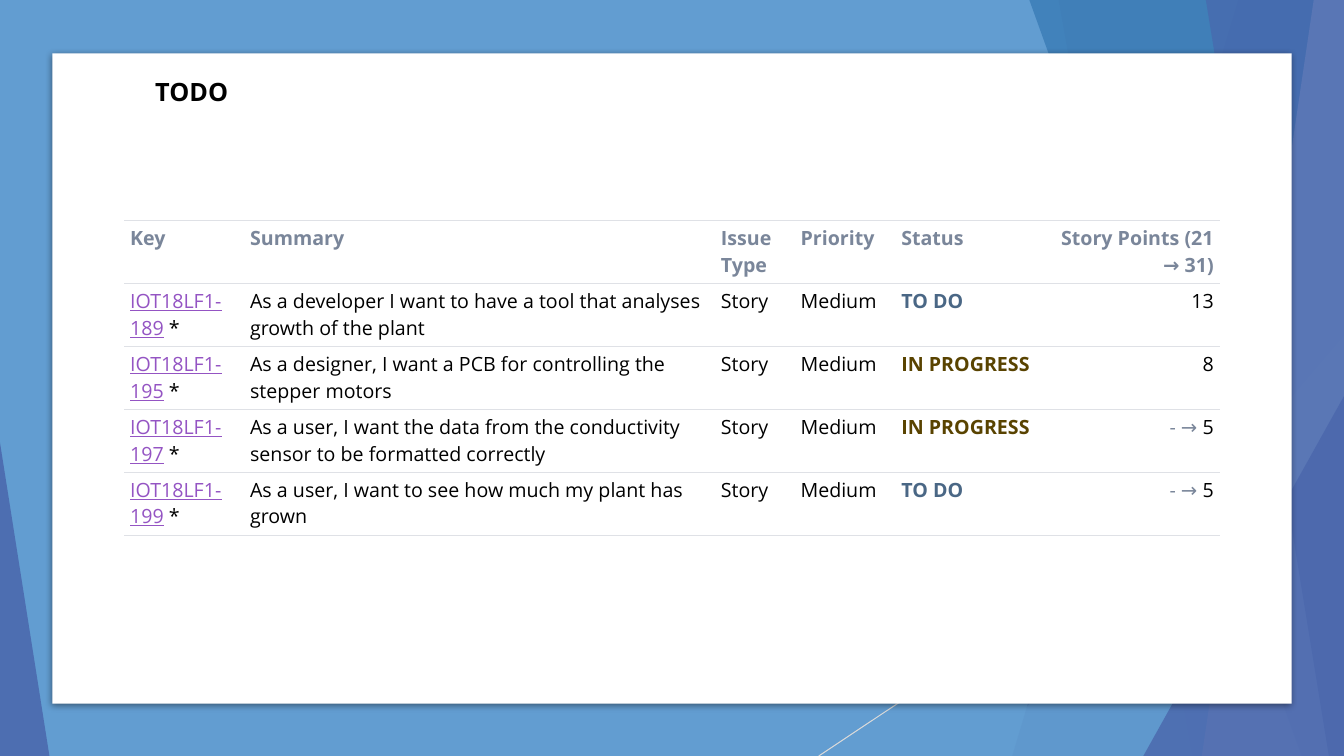
from lxml.etree import SubElement as Sub
from pptx import Presentation
from pptx.dml.color import RGBColor as RGB
from pptx.enum.shapes import MSO_CONNECTOR as Wire, MSO_SHAPE as Kind
from pptx.enum.text import MSO_ANCHOR as Anchor, MSO_AUTO_SIZE as Auto, PP_ALIGN as Align
from pptx.oxml.ns import qn
from pptx.util import Inches, Pt

WIDE, HIGH = Inches(13.33), Inches(7.5)
FONT = "Open Sans"
BLACK, WHITE = RGB(0, 0, 0), RGB(255, 255, 255)
SKY, NAVY = RGB(0x62, 0x9D, 0xD1), RGB(0x4A, 0x66, 0xAC)
TEAL, LILAC = RGB(0x34, 0x77, 0xB2), RGB(0x90, 0xA2, 0xCF)
SILVER, RULE = RGB(0xD9, 0xD9, 0xD9), RGB(0xDF, 0xE1, 0xE6)
GREY, LINK = RGB(0x7A, 0x86, 0x9A), RGB(0x94, 0x54, 0xC3)
STATES = {"TO DO": RGB(0x4A, 0x67, 0x85), "IN PROGRESS": RGB(0x59, 0x43, 0)}

COLS = (8.93, 35.03, 5.93, 7.5, 10.65, 13.5)
HEADS = ("Key", "Summary", "Issue Type", "Priority", "Status",
         "Story Points\u00a0(21 \u2192\u00a031)")
# Key number, summary, status, points before the change, points
STORIES = (
    (189, "As a developer I want to have a tool that analyses growth of the plant",
     "TO DO", "", "13"),
    (195, "As a designer, I want a PCB for controlling the stepper motors",
     "IN PROGRESS", "", "8"),
    (197, "As a user, I want the data from the conductivity sensor to be formatted correctly",
     "IN PROGRESS", "- \u2192\u00a0", "5"),
    (199, "As a user, I want to see how much my plant has grown",
     "TO DO", "- \u2192\u00a0", "5"),
)


def across(share):
    """Turn a percentage of the slide's width into a length."""
    return round(WIDE * share / 100)


def down(share):
    """Turn a percentage of the slide's height into a length."""
    return round(HIGH * share / 100)


def box(left, top, width, height):
    """Turn four percentages into a position and size."""
    return across(left), down(top), across(width), down(height)


def paint(shape, color, alpha=100):
    """Give a shape a plain fill of some opacity, no line and no shadow."""
    shape.shadow.inherit = False
    shape.line.fill.background()
    shape.fill.solid()
    shape.fill.fore_color.rgb = color
    if alpha < 100:
        tint = shape._element.spPr.find(qn("a:solidFill"))[0]
        Sub(tint, qn("a:alpha"), val=str(alpha * 1000))
    return shape


def block(shapes, *place):
    """Add a rectangle."""
    return shapes.add_shape(Kind.RECTANGLE, *box(*place))


def pane(shapes, head, foot, color, alpha):
    """Add a slanted pane that reaches the right edge of the slide."""
    pen = shapes.build_freeform(across(head), 0)
    pen.add_line_segments([(WIDE, 0), (WIDE, HIGH), (across(foot), HIGH)])
    paint(pen.convert_to_shape(), color, alpha)


def wedge(shapes, left, top, width, tip, color, alpha):
    """Add a right triangle that stands on the bottom edge."""
    shape = shapes.add_shape(Kind.ISOSCELES_TRIANGLE, *box(left, top, width, 100 - top))
    shape.adjustments[0] = tip
    paint(shape, color, alpha)


def streak(shapes, top, foot):
    """Add a thin line from the right edge to the bottom edge."""
    line = shapes.add_connector(Wire.STRAIGHT, WIDE, down(top), across(foot), HIGH)
    line.line.color.rgb = SILVER
    line.line.width = Pt(0.75)
    Sub(line._element.spPr, qn("a:effectLst"))


def facets(shapes):
    """Draw the layered facets behind the panel."""
    streak(shapes, 53.73, 60.92)
    pane(shapes, 92.12, 75.32, NAVY, 30)
    pane(shapes, 78.77, 88.75, NAVY, 20)
    wedge(shapes, 73.29, 44.4, 26.71, 1, SKY, 72)
    pane(shapes, 76.59, 96.85, TEAL, 70)
    pane(shapes, 97.75, 89.42, LILAC, 70)
    pane(shapes, 89.72, 98.87, NAVY, 65)
    wedge(shapes, 85.07, 52.4, 14.93, 1, NAVY, 80)
    wedge(shapes, 0, 58.53, 3.68, 0, NAVY, 85)


def shade(shape):
    """Give a shape a soft shadow below it."""
    list_ = shape._element.spPr.find(qn("a:effectLst"))
    cast = Sub(list_, qn("a:outerShdw"), blurRad=str(Pt(5)), dist=str(Pt(1.4)),
               dir="5400000", algn="t", rotWithShape="0")
    tint = Sub(cast, qn("a:srgbClr"), val=str(BLACK))
    Sub(tint, qn("a:alpha"), val="43000")


def edge(cell):
    """Rule a cell above and below only."""
    props = cell._tc.get_or_add_tcPr()
    for spot, side in enumerate("LRTB"):
        line = Sub(props, qn(f"a:ln{side}"), w=str(Pt(0.75)))
        if side in "LR":
            Sub(line, qn("a:noFill"))
        else:
            Sub(Sub(line, qn("a:solidFill")), qn("a:srgbClr"), val=str(RULE))
        props.insert(spot, line)


def write(cell, parts, bold, right):
    """Fill a cell with (text, colour) parts; link-coloured ones are underlined."""
    cell.margin_left = cell.margin_right = Inches(0.06)
    cell.margin_top = cell.margin_bottom = Inches(0.04)
    cell.fill.solid()
    cell.fill.fore_color.rgb = WHITE
    edge(cell)
    para = cell.text_frame.paragraphs[0]
    para.alignment = Align.RIGHT if right else Align.LEFT
    para.font.name, para.font.size, para.font.bold = FONT, Pt(14), bold
    for text, color in parts:
        run = para.add_run()
        run.text = text
        run.font.name, run.font.size, run.font.bold = FONT, Pt(14), bold
        run.font.color.rgb = color
        run.font.underline = color == LINK


def parts(story):
    """List the coloured cell parts of one story."""
    key, goal, state, old, points = story
    score = [(old, GREY)] if old else []
    return ([(f"IOT18LF1-{key}", LINK), ("\u00a0*", BLACK)], [(goal, BLACK)],
            [("Story", BLACK)], [("Medium", BLACK)], [(state, STATES[state])],
            score + [(points, BLACK)])


def board(shapes):
    """Add the table of stories."""
    rows = [[[(head, GREY)] for head in HEADS], *map(parts, STORIES)]
    table = shapes.add_table(len(rows), len(COLS), *box(9.23, 29.2, sum(COLS), 41.6)).table
    table.first_row = table.horz_banding = False
    for col, share in zip(table.columns, COLS):
        col.width = across(share)
    for r, row in enumerate(rows):
        for c, cell in enumerate(row):
            bold = r == 0 or HEADS[c] == "Status"
            write(table.cell(r, c), cell, bold, c == len(COLS) - 1)


def label(slide, text):
    """Place and format the title in front of the panel."""
    title = slide.shapes.title
    title.left, title.top, title.width, title.height = box(10.8, 9.47, 28.28, 5.33)
    frame = title.text_frame
    frame.text = text
    frame.word_wrap, frame.auto_size = True, Auto.SHAPE_TO_FIT_TEXT
    frame.vertical_anchor = Anchor.TOP
    para = frame.paragraphs[0]
    para.alignment = Align.LEFT
    para.font.name, para.font.size, para.font.bold = FONT, Pt(18), True
    para.font.color.rgb = BLACK
    slide.shapes._spTree.append(title._element)


def main():
    """Build the slide and save it."""
    deck = Presentation()
    deck.slide_width, deck.slide_height = WIDE, HIGH
    slide = deck.slides.add_slide(deck.slide_layouts[5])
    shapes = slide.shapes
    paint(block(shapes, 0, 0, 100, 100), SKY)
    facets(shapes.add_group_shape().shapes)
    shade(paint(block(shapes, 3.9, 7.07, 92.2, 86), WHITE))
    board(shapes)
    label(slide, "TODO")
    deck.save("out.pptx")


main()
